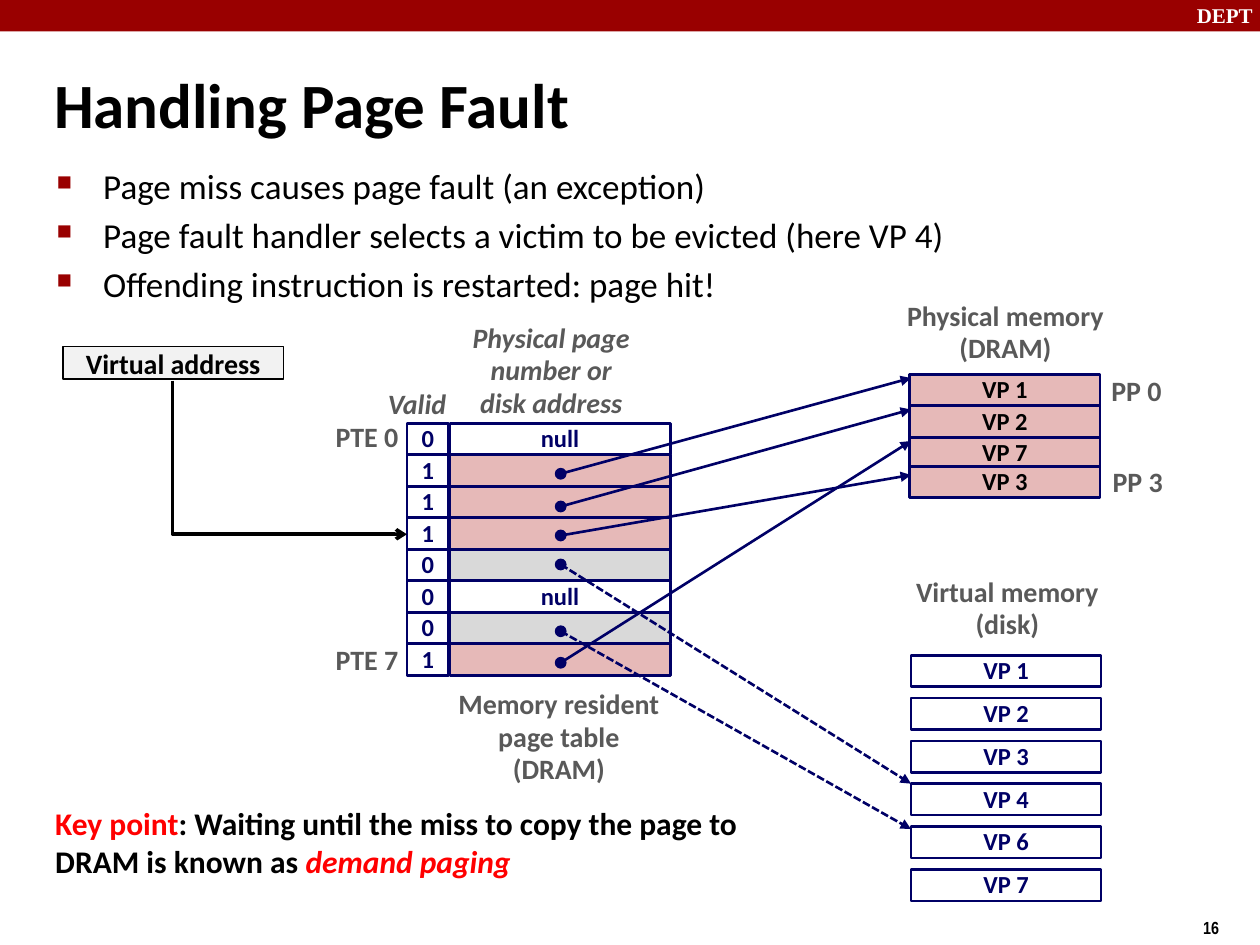
from dataclasses import dataclass
from typing import Optional

from lxml.etree import SubElement
from pptx import Presentation
from pptx.dml.color import RGBColor
from pptx.enum.dml import MSO_LINE
from pptx.enum.shapes import MSO_CONNECTOR, MSO_SHAPE
from pptx.enum.text import MSO_ANCHOR, MSO_AUTO_SIZE, PP_ALIGN
from pptx.oxml.ns import qn
from pptx.util import Inches, Pt

BLACK = RGBColor(0x00, 0x00, 0x00)
WHITE = RGBColor(0xFF, 0xFF, 0xFF)
RED = RGBColor(0xFF, 0x00, 0x00)
CRIMSON = RGBColor(0x99, 0x00, 0x00)
NAVY = RGBColor(0x00, 0x00, 0x66)
PINK = RGBColor(0xE6, 0xB9, 0xB8)
SILVER = RGBColor(0xD9, 0xD9, 0xD9)
PALE = RGBColor(0xF2, 0xF2, 0xF2)
GRAY = RGBColor(0x59, 0x59, 0x59)

deck = Presentation()
deck.slide_width, deck.slide_height = Inches(10), Inches(7.5)
COLUMN = deck.slide_width // 100
ROW = deck.slide_height // 75
CELL_HEIGHT = 2.5
TABLE_TOP = 33.6
POINTER_COLUMN = 44.5
MEMORY_LEFT = 72.2


@dataclass
class Area:
    column: float
    row: float
    width: float
    height: float

    def lengths(self) -> tuple:
        return (round(self.column * COLUMN), round(self.row * ROW),
                round(self.width * COLUMN), round(self.height * ROW))


@dataclass
class Entry:
    valid: str
    fill: RGBColor
    pointer_row: Optional[float] = None
    target_row: Optional[float] = None


@dataclass
class Label:
    text: str
    area: Area
    align: PP_ALIGN = PP_ALIGN.CENTER
    italic: bool = False
    anchor: MSO_ANCHOR = MSO_ANCHOR.TOP


def add_span(para, text: str, *, size: float = 14, color: RGBColor = NAVY,
             font: str = "Calibri", bold: bool = True, italic: bool = False) -> None:
    span = para.add_run()
    span.text = text
    span.font.size, span.font.name = Pt(size), font
    span.font.bold, span.font.italic = bold, italic
    span.font.color.rgb = color


def write(box, text: str, *, align: PP_ALIGN = PP_ALIGN.CENTER, spacing: float = 0.98,
          anchor: MSO_ANCHOR = MSO_ANCHOR.MIDDLE, wrap: bool = False, **style) -> list:
    frame = box.text_frame
    frame.word_wrap, frame.vertical_anchor = wrap, anchor
    frame.auto_size = MSO_AUTO_SIZE.NONE
    paras = []
    for line in text.split("\n"):
        para = frame.add_paragraph() if paras else frame.paragraphs[0]
        para.alignment, para.line_spacing = align, spacing
        add_span(para, line, **style)
        paras.append(para)
    return paras


def add_text(area: Area, text: str, **style) -> list:
    return write(page.shapes.add_textbox(*area.lengths()), text, **style)


def add_block(area: Area, fill: RGBColor, *, text: str = "", line: Optional[RGBColor] = NAVY,
              weight: float = 1.5, kind: MSO_SHAPE = MSO_SHAPE.RECTANGLE, **style) -> None:
    block = page.shapes.add_shape(kind, *area.lengths())
    block.shadow.inherit = False
    block.fill.solid()
    block.fill.fore_color.rgb = fill
    if line is None:
        block.line.fill.background()
    else:
        block.line.color.rgb, block.line.width = line, Pt(weight)
    if text:
        block.text_frame.margin_top = block.text_frame.margin_bottom = 0
        write(block, text, **style)


def add_arrow(start: tuple, end: tuple, *, kind: MSO_CONNECTOR = MSO_CONNECTOR.STRAIGHT,
              color: RGBColor = NAVY, weight: float = 1.5, head: str = "triangle",
              dashed: bool = False):
    points = [round(value * unit) for point in (start, end)
              for value, unit in zip(point, (COLUMN, ROW))]
    arrow = page.shapes.add_connector(kind, *points)
    arrow.line.color.rgb, arrow.line.width = color, Pt(weight)
    if dashed:
        arrow.line.dash_style = MSO_LINE.SQUARE_DOT
    properties = arrow.element.spPr
    SubElement(properties.find(qn("a:ln")), qn("a:tailEnd"), type=head)
    SubElement(properties, qn("a:effectLst"))
    return arrow


def add_bullet(para) -> None:
    properties = para._p.get_or_add_pPr()
    properties.set("marL", str(Inches(0.38)))
    properties.set("indent", str(-Inches(0.37)))
    color = SubElement(properties, qn("a:buClr"))
    SubElement(color, qn("a:srgbClr"), val=str(CRIMSON))
    SubElement(properties, qn("a:buSzPct"), val="60000")
    SubElement(properties, qn("a:buChar"), char="■")


def draw_frame() -> None:
    add_block(Area(0, 0, 100, 2.5), CRIMSON, line=None)
    add_text(Area(94, -0.3, 6.7, 3), "DEPT", size=12, font="Times New Roman", color=WHITE,
             align=PP_ALIGN.LEFT, anchor=MSO_ANCHOR.TOP, spacing=1)
    add_text(Area(94.5, 72.3, 7.5, 2.9), "16", size=10, font="Arial Narrow", color=BLACK,
             align=PP_ALIGN.LEFT, anchor=MSO_ANCHOR.TOP, spacing=1)
    title = page.shapes.title
    title.left, title.top, title.width, title.height = Area(3.3, 3.9, 90.6, 8.6).lengths()
    write(title, "Handling Page Fault", size=36, color=BLACK, align=PP_ALIGN.LEFT,
          spacing=1, wrap=True)


def draw_prose() -> None:
    bullets = add_text(Area(3.4, 12.6, 90.8, 8.3),
                       "Page miss causes page fault (an exception)\n"
                       "Page fault handler selects a victim to be evicted (here VP 4)\n"
                       "Offending instruction is restarted: page hit!",
                       size=20, color=BLACK, bold=False, align=PP_ALIGN.LEFT,
                       anchor=MSO_ANCHOR.TOP, spacing=1, wrap=True)
    for para in bullets:
        para.space_before = Pt(4)
        add_bullet(para)
    key_point, = add_text(Area(3.4, 63.3, 63.3, 7), "Key point", size=18, color=RED,
                          align=PP_ALIGN.LEFT, anchor=MSO_ANCHOR.TOP, spacing=1, wrap=True)
    add_span(key_point, ": Waiting until the miss to copy the page to DRAM is known as ",
             size=18, color=BLACK)
    add_span(key_point, "demand paging", size=18, color=RED, italic=True)


def draw_memories() -> None:
    for name, row in (("VP 7", 34.7), ("VP 3", 37), ("VP 2", 32.2), ("VP 1", 29.7)):
        add_block(Area(MEMORY_LEFT, row, 15.1, CELL_HEIGHT), PINK, text=name, color=BLACK)
    for index, number in enumerate((1, 2, 3, 4, 6, 7)):
        add_block(Area(MEMORY_LEFT + 0.1, 52 + 3.4 * index, 15.1, CELL_HEIGHT), WHITE,
                  text=f"VP {number}")


def draw_page_table(entries: list) -> None:
    for index, entry in enumerate(entries):
        row = TABLE_TOP + CELL_HEIGHT * index
        add_block(Area(32.3, row, 3.3, CELL_HEIGHT), WHITE, text=entry.valid)
        add_block(Area(35.7, row, 17.5, CELL_HEIGHT), entry.fill,
                  text="" if entry.pointer_row else "null")
    for entry in entries:
        if entry.pointer_row:
            add_arrow((POINTER_COLUMN, entry.pointer_row), (72.3, entry.target_row),
                      dashed=entry.fill == SILVER)
            add_block(Area(POINTER_COLUMN - 0.4, entry.pointer_row - 0.4, 0.8, 0.8), NAVY,
                      weight=1, kind=MSO_SHAPE.OVAL)


def draw_address() -> None:
    add_block(Area(5, 27.5, 17.5, 2.6), PALE, text="Virtual address", line=BLACK, weight=1,
              size=16, color=BLACK, wrap=True, spacing=1)
    elbow = add_arrow((29.1, 27), (16.9, 45.6), kind=MSO_CONNECTOR.ELBOW,
                      color=BLACK, weight=2, head="arrow")
    properties = elbow.element.spPr
    properties.find(qn("a:xfrm")).set("rot", str(270 * 60000))
    properties.find(qn("a:prstGeom")).set("prst", "bentConnector2")


ENTRIES = [
    Entry("0", WHITE),
    Entry("1", PINK, 37.6, 30),
    Entry("1", PINK, 40.2, 32.5),
    Entry("1", PINK, 42.5, 37.7),
    Entry("0", SILVER, 44.8, 62.2),
    Entry("0", WHITE),
    Entry("0", SILVER, 50.1, 65.8),
    Entry("1", PINK, 52.6, 35),
]
LABELS = [
    Label("Memory resident\npage table\n(DRAM)", Area(35.4, 54.1, 17.9, 8.9)),
    Label("Physical memory\n(DRAM)", Area(71, 23.3, 17.6, 6.3)),
    Label("Virtual memory\n(disk)", Area(71.7, 45.2, 16.5, 6.3)),
    Label("Valid", Area(29.8, 30.3, 7.5, 3.7), PP_ALIGN.LEFT, True),
    Label("Physical page\nnumber or\ndisk address", Area(36.5, 25, 14.5, 8.9), italic=True,
          anchor=MSO_ANCHOR.MIDDLE),
    Label("PTE 0", Area(25.7, 32.9, 6.9, 3.7), PP_ALIGN.RIGHT),
    Label("PTE 7", Area(25.7, 50.6, 6.9, 3.7), PP_ALIGN.RIGHT),
    Label("PP 0", Area(87.2, 29.3, 6, 3.7)),
    Label("PP 3", Area(87.3, 36.5, 6, 3.7)),
]

page = deck.slides.add_slide(deck.slide_layouts[5])
draw_frame()
draw_prose()
draw_memories()
draw_page_table(ENTRIES)
draw_address()
for label in LABELS:
    add_text(label.area, label.text, size=16, color=GRAY, align=label.align,
             italic=label.italic, anchor=label.anchor)
deck.save("out.pptx")
